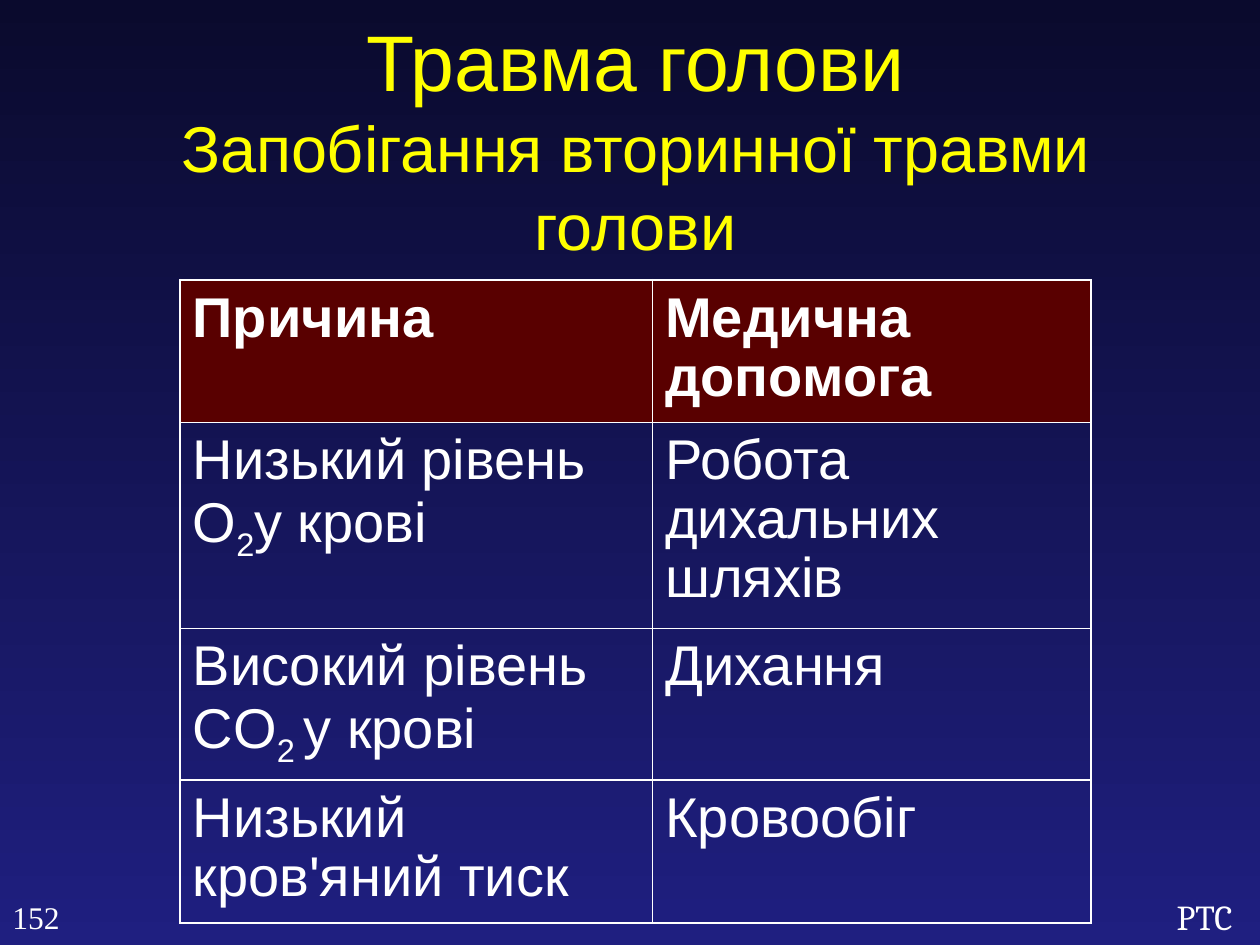
from lxml.etree import SubElement
from pptx import Presentation
from pptx.dml.color import RGBColor
from pptx.enum.text import MSO_ANCHOR, PP_ALIGN
from pptx.oxml.ns import qn
from pptx.util import Inches, Pt

NAVY = RGBColor(0x0A, 0x0A, 0x2D)
BLUE = RGBColor(0x1F, 0x1F, 0x80)
WHITE = RGBColor(0xFF, 0xFF, 0xFF)
YELLOW = RGBColor(0xFF, 0xFF, 0x00)
MAROON = RGBColor(0x59, 0x00, 0x00)

TITLE = {"name": "Arial", "size": Pt(45)}
SUB = {"name": "Arial", "size": Pt(37)}
MARK = {"name": "Cambria", "size": Pt(20)}
NUMBER = {"name": "Times New Roman", "size": Pt(18)}
HEAD = {"name": "Arial", "size": Pt(32), "bold": True}
BODY = {"name": "Arial", "size": Pt(32), "bold": False}

COLS = (3.75, 3.48)
ROWS = (1.13, 1.63, 1.2, 1.13)
# Each cell is a list of runs; every second run is a subscript
CELLS = (
    (["Причина"], ["Медична допомога"]),
    (["Низький рівень O", "2", "у крові"], ["Робота дихальних шляхів"]),
    (["Високий рівень CO", "2 ", "у крові"], ["Дихання"]),
    (["Низький кров'яний тиск"], ["Кровообіг"]),
)


def add_run(para, text, form, color=WHITE):
    run = para.add_run()
    run.text = text
    for key, value in form.items():
        setattr(run.font, key, value)
    run.font.color.rgb = color
    return run


def add_text(slide, place, lines, color=WHITE, align=PP_ALIGN.LEFT,
             anchor=MSO_ANCHOR.TOP, wrap=True):
    box = slide.shapes.add_textbox(*map(Inches, place))
    frame = box.text_frame
    frame.word_wrap = wrap
    frame.vertical_anchor = anchor
    for i, (text, form) in enumerate(lines):
        para = frame.add_paragraph() if i else frame.paragraphs[0]
        para.alignment = align
        add_run(para, text, form, color)


def add_border(cell, side, width):
    line = SubElement(cell._tc.get_or_add_tcPr(), qn(f"a:ln{side}"),
                      w=str(Pt(width)))
    fill = SubElement(line, qn("a:solidFill"))
    SubElement(fill, qn("a:srgbClr"), val=str(WHITE))


def fill_cell(cell, parts, form):
    cell.margin_left = cell.margin_right = Inches(0.1)
    cell.margin_top, cell.margin_bottom = Inches(0.08), Inches(0.05)
    para = cell.text_frame.paragraphs[0]
    para.line_spacing = 0.94
    for i, text in enumerate(parts):
        run = add_run(para, text, form)
        if i % 2:
            run._r.get_or_add_rPr().set("baseline", "-25000")


def add_grid(slide):
    frame = slide.shapes.add_table(
        len(ROWS), len(COLS), Inches(1.43), Inches(2.22),
        Inches(sum(COLS)), Inches(sum(ROWS)))
    table = frame.table
    table.horz_banding = False
    for col, width in zip(table.columns, COLS):
        col.width = Inches(width)
    for row, height in zip(table.rows, ROWS):
        row.height = Inches(height)
    for r, row in enumerate(CELLS):
        for c, parts in enumerate(row):
            cell = table.cell(r, c)
            fill_cell(cell, parts, BODY if r else HEAD)
            # Outer edges are heavier than inner ones
            edges = {"L": c == 0, "R": c == len(COLS) - 1,
                     "T": r == 0, "B": r == len(ROWS) - 1}
            for side, outer in edges.items():
                add_border(cell, side, 1.08 if outer else 0.75)
            if r:
                cell.fill.background()
            else:
                cell.fill.solid()
                cell.fill.fore_color.rgb = MAROON


def add_back(slide):
    fill = slide.background.fill
    fill.gradient()
    fill.gradient_angle = 270
    for stop, color in zip(fill.gradient_stops, (NAVY, BLUE)):
        stop.color.rgb = color


def main():
    deck = Presentation()
    deck.slide_width, deck.slide_height = Inches(10), Inches(7.5)
    slide = deck.slides.add_slide(deck.slide_layouts[6])
    add_back(slide)
    # Course mark
    add_text(slide, (9.24, 7.06, 0.76, 0.44), [("PTC", MARK)], wrap=False)
    # Title
    add_text(slide, (0.48, 0.47, 9.13, 1.25),
             [("Травма голови", TITLE),
              ("Запобігання вторинної травми голови", SUB)],
             YELLOW, PP_ALIGN.CENTER, MSO_ANCHOR.MIDDLE)
    # Causes and care
    add_grid(slide)
    # Page number
    add_text(slide, (0, 7.08, 0.6, 0.4), [("152", NUMBER)], wrap=False)
    deck.save("out.pptx")


if __name__ == "__main__":
    main()
